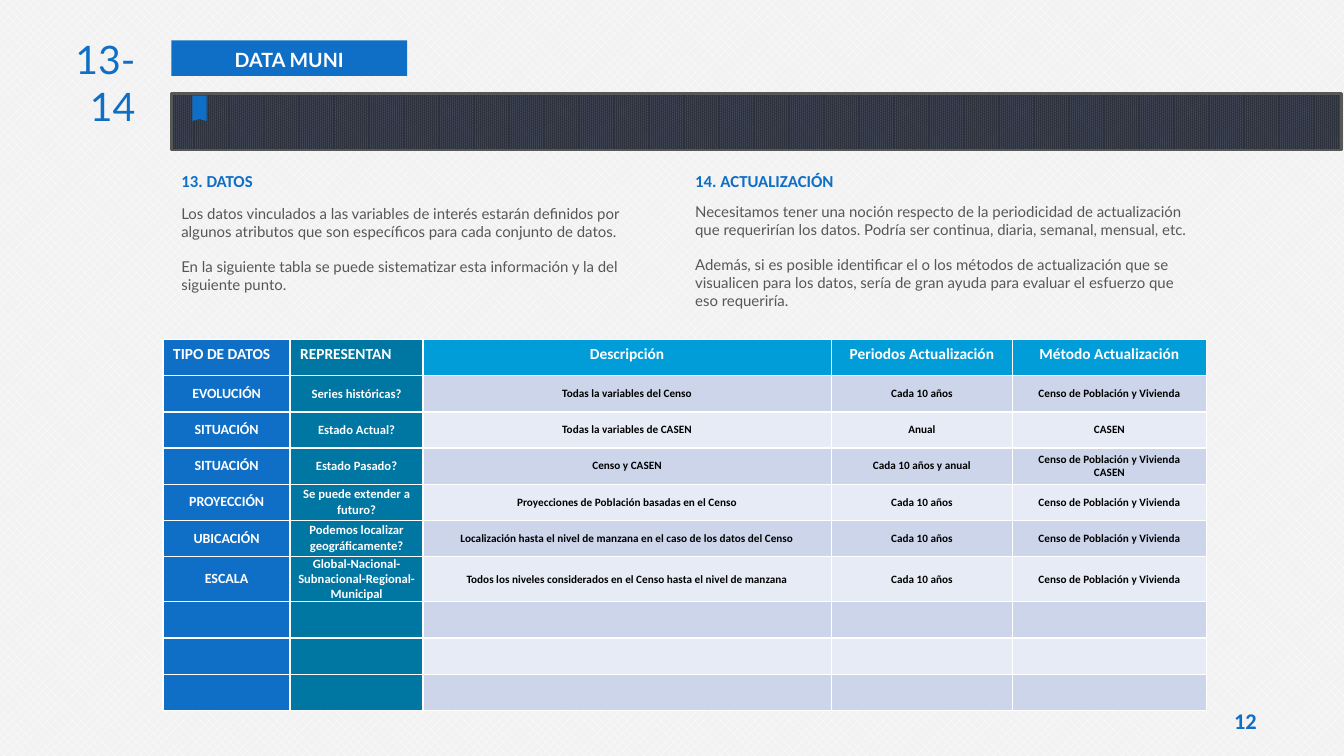
from pptx import Presentation
from pptx.dml.color import RGBColor
from pptx.enum import dml, shapes, text
from pptx.util import Cm, Pt

BLUE = RGBColor(0x0F, 0x6F, 0xC6)
TEAL = RGBColor(0x00, 0x76, 0xA3)
SKY = RGBColor(0x00, 0x9D, 0xD9)
GREY = RGBColor(0x57, 0x57, 0x56)
SLATE = RGBColor(0x2D, 0x31, 0x3C)
SLATE_LIGHT = RGBColor(0x44, 0x4A, 0x5A)
WHITE = RGBColor(0xFF, 0xFF, 0xFF)
BLACK = RGBColor(0x00, 0x00, 0x00)
PAPER = RGBColor(0xF2, 0xF2, 0xF2)
BANDS = (RGBColor(0xCC, 0xD5, 0xEA), RGBColor(0xE7, 0xEB, 0xF5))

CENTER, RIGHT, LEFT = text.PP_ALIGN.CENTER, text.PP_ALIGN.RIGHT, text.PP_ALIGN.LEFT

COLUMN_WIDTHS = (3.2, 3.35, 10.29, 4.57, 4.88)
ROW_HEIGHT = 0.91
HEADINGS = ("TIPO DE DATOS", "REPRESENTAN", "Descripción",
            "Periodos Actualización", "Método Actualización")
CENSUS = "Censo de Población y Vivienda"
DECADE = "Cada 10 años"
DATA_ROWS = [
    ("EVOLUCIÓN", "Series históricas?", "Todas la variables del Censo", DECADE, CENSUS),
    ("SITUACIÓN", "Estado Actual?", "Todas la variables de CASEN", "Anual", "CASEN"),
    ("SITUACIÓN", "Estado Pasado?", "Censo y CASEN", "Cada 10 años y anual",
     CENSUS + "\nCASEN"),
    ("PROYECCIÓN", "Se puede extender a futuro?",
     "Proyecciones de Población basadas en el Censo", DECADE, CENSUS),
    ("UBICACIÓN", "Podemos localizar geográficamente?",
     "Localización hasta el nivel de manzana en el caso de los datos del Censo",
     DECADE, CENSUS),
    ("ESCALA", "Global-Nacional-Subnacional-Regional- Municipal",
     "Todos los niveles considerados en el Censo hasta el nivel de manzana",
     DECADE, CENSUS),
] + [("",) * 5] * 3


def write(frame, content, size, color, font="Lato", bold=False, align=LEFT, gap=0):
    """Fill a text frame, one paragraph per line, with `gap` points around inner breaks."""
    frame.word_wrap = True
    frame.text = content
    for index, paragraph in enumerate(frame.paragraphs):
        paragraph.alignment = align
        if gap:
            paragraph.space_after = Pt(gap)
            if index:
                paragraph.space_before = Pt(gap)
        paragraph.font.size = Pt(size)
        paragraph.font.name = font
        paragraph.font.bold = bold
        paragraph.font.color.rgb = color


def add_text(slide, left, top, width, height, content, size, color, **style):
    frame = slide.shapes.add_textbox(Cm(left), Cm(top), Cm(width), Cm(height)).text_frame
    write(frame, content, size, color, **style)
    return frame


def set_pattern(fill, pattern, fore, back):
    fill.patterned()
    fill.pattern = pattern
    fill.fore_color.rgb = fore
    fill.back_color.rgb = back


def add_title(slide, content):
    title = slide.shapes.title
    title.left, title.top, title.width, title.height = Cm(4.32), Cm(1.02), Cm(5.94), Cm(0.89)
    title.fill.solid()
    title.fill.fore_color.rgb = BLUE
    frame = title.text_frame
    frame.auto_size = text.MSO_AUTO_SIZE.NONE
    frame.vertical_anchor = text.MSO_ANCHOR.MIDDLE
    write(frame, content, 14, WHITE, bold=True, align=CENTER)
    frame.paragraphs[0].line_spacing = 1.1


def add_band(slide):
    band = slide.shapes.add_shape(shapes.MSO_SHAPE.RECTANGLE,
                                  Cm(4.32), Cm(2.36), Cm(29.49), Cm(1.42))
    band.shadow.inherit = False
    set_pattern(band.fill, dml.MSO_PATTERN.PERCENT_90, SLATE, SLATE_LIGHT)
    band.line.color.rgb = GREY
    band.line.width = Pt(2)


def add_bookmark(slide):
    outline = slide.shapes.build_freeform(Cm(5.21), Cm(2.41))
    outline.add_line_segments([(Cm(x), Cm(y)) for x, y in
                               ((5.21, 3.05), (5.03, 3), (4.85, 3.05), (4.85, 2.41))])
    bookmark = outline.convert_to_shape()
    bookmark.shadow.inherit = False
    bookmark.fill.solid()
    bookmark.fill.fore_color.rgb = BLUE
    bookmark.line.fill.background()


def add_section(slide, left, heading, body_top, body_width, body_height, body):
    add_text(slide, left, 4.17, 12.5, 0.76, heading, 12, BLUE, font="Calibri", bold=True)
    add_text(slide, left, body_top, body_width, body_height, body, 10.7, GREY, gap=6)


def fill_cell(cell, content, size, color, back, align=CENTER):
    cell.fill.solid()
    cell.fill.fore_color.rgb = back
    write(cell.text_frame, content, size, color, font="Calibri", bold=True, align=align)


def add_data_table(slide):
    table = slide.shapes.add_table(
        len(DATA_ROWS) + 1, len(HEADINGS), Cm(4.11), Cm(8.56),
        Cm(sum(COLUMN_WIDTHS)), Cm(ROW_HEIGHT * (len(DATA_ROWS) + 1))).table
    for column, width in zip(table.columns, COLUMN_WIDTHS):
        column.width = Cm(width)
    for row in table.rows:
        row.height = Cm(ROW_HEIGHT)

    # Header row
    for col, heading in enumerate(HEADINGS):
        fill_cell(table.cell(0, col), heading, 11, WHITE,
                  (BLUE, TEAL, SKY, SKY, SKY)[col], LEFT if col < 2 else CENTER)

    # Data rows: two label columns, then banded values
    for row, values in enumerate(DATA_ROWS, start=1):
        band = BANDS[(row - 1) % 2]
        styles = [(10, WHITE, BLUE), (9, WHITE, TEAL)] + [(8, BLACK, band)] * 3
        for col, (value, style) in enumerate(zip(values, styles)):
            cell = table.cell(row, col)
            cell.margin_left = cell.margin_right = cell.margin_top = cell.margin_bottom = 0
            cell.vertical_anchor = text.MSO_ANCHOR.MIDDLE
            fill_cell(cell, value, *style)


def main():
    deck = Presentation()
    deck.slide_width, deck.slide_height = Cm(33.87), Cm(19.05)
    slide = deck.slides.add_slide(deck.slide_layouts[5])
    # The library spells its 40 % member without the initial P
    set_pattern(slide.background.fill, dml.MSO_PATTERN.ERCENT_40, WHITE, PAPER)

    # Heading area
    add_title(slide, "DATA MUNI")
    add_text(slide, 0.76, 0.76, 2.9, 1.45, "13-14", 28, BLUE, align=RIGHT)
    add_band(slide)
    add_bookmark(slide)

    # Explanations
    add_section(slide, 4.32, "13. DATOS", 5.03, 12.5, 2.51,
                "Los datos vinculados a las variables de interés estarán definidos por "
                "algunos atributos que son específicos para cada conjunto de datos.\n"
                "En la siguiente tabla se puede sistematizar esta información y la del "
                "siguiente punto.")
    add_section(slide, 17.27, "14. ACTUALIZACIÓN", 4.98, 13.13, 2.97,
                "Necesitamos tener una noción respecto de la periodicidad de actualización "
                "que requerirían los datos. Podría ser continua, diaria, semanal, mensual, etc.\n"
                "Además, si es posible identificar el o los métodos de actualización que se "
                "visualicen para los datos, sería de gran ayuda para evaluar el esfuerzo que "
                "eso requeriría.")

    add_data_table(slide)

    # Page number
    page = add_text(slide, 30.61, 17.78, 1.55, 0.84, "12", 16, BLUE,
                    font="Calibri", bold=True, align=CENTER)
    page.margin_left = page.margin_right = Cm(0.13)
    page.margin_top = page.margin_bottom = Cm(0.05)

    deck.save("out.pptx")


if __name__ == "__main__":
    main()
